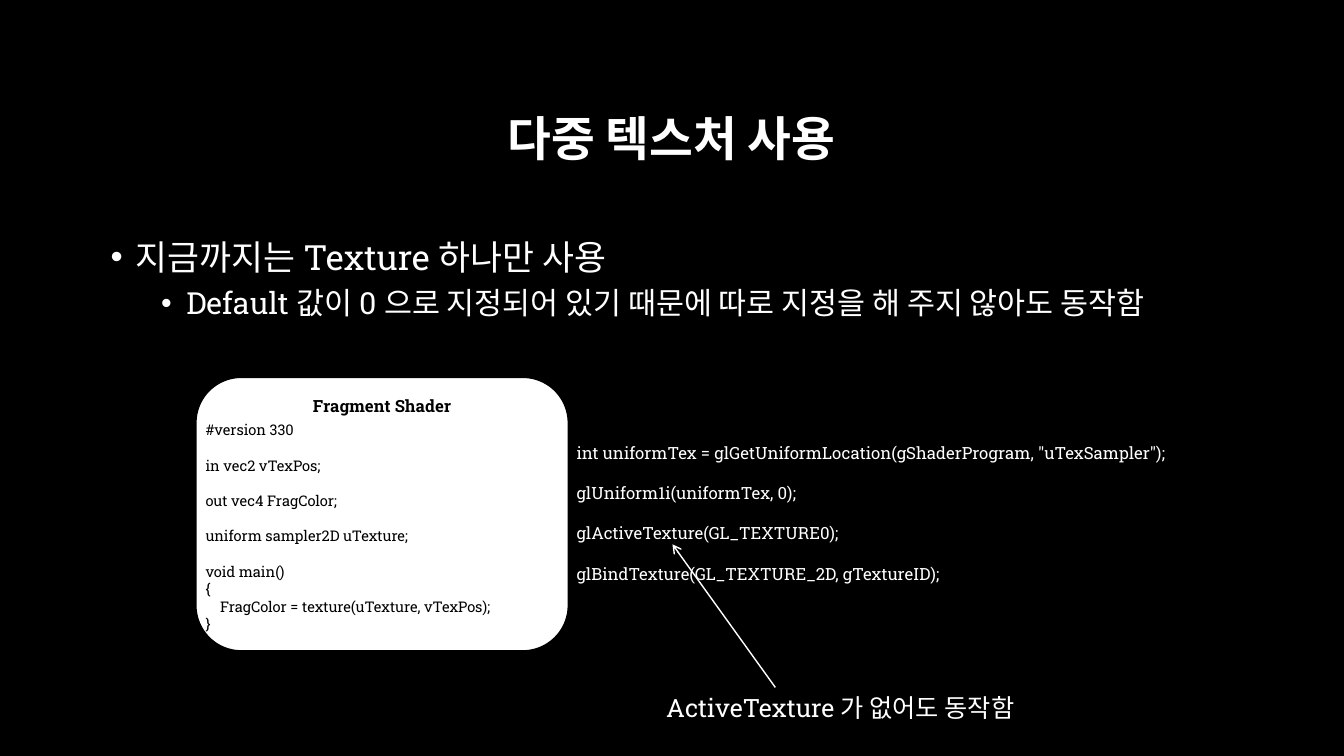
from dataclasses import dataclass

from lxml import etree
from pptx import Presentation
from pptx import util as u
from pptx.dml.color import RGBColor
from pptx.enum import shapes, text
from pptx.oxml.ns import qn


@dataclass(frozen=True)
class Theme:
    """Colours, font and type sizes of the slide."""
    font: str = "Roboto Slab"
    dark: RGBColor = RGBColor(0, 0, 0)
    light: RGBColor = RGBColor(255, 255, 255)
    title: float = 34
    bullet: float = 24.8
    sub_bullet: float = 21.7
    note: float = 18
    code: float = 12
    shader: float = 10.5


THEME = Theme()
LINE_HEIGHT = 1.2

SHADER_BLOCKS = [
    ["#version 330"],
    ["in vec2 vTexPos;"],
    ["out vec4 FragColor;"],
    ["uniform sampler2D uTexture;"],
    ["void main()", "{", "    FragColor = texture(uTexture, vTexPos);", "}"],
]
CALL_BLOCKS = [
    ['int uniformTex = glGetUniformLocation(gShaderProgram, "uTexSampler");'],
    ["glUniform1i(uniformTex, 0);"],
    ["glActiveTexture(GL_TEXTURE0);"],
    ["glBindTexture(GL_TEXTURE_2D, gTextureID);"],
]
BULLETS = [
    (0, "지금까지는 Texture 하나만 사용", THEME.bullet),
    (1, "Default 값이 0 으로 지정되어 있기 때문에 따로 지정을 해 주지 않아도 동작함", THEME.sub_bullet),
]


def inches(*lengths):
    """Convert several lengths to Inches."""
    return [u.Inches(length) for length in lengths]


def style(paragraph, size, color, bold=False):
    """Set the font of a whole paragraph."""
    font = paragraph.font
    font.name, font.size, font.bold = THEME.font, u.Pt(size), bold
    font.color.rgb = color


def add_text_box(slide, box):
    """Add a wrapping text box and return its text frame."""
    frame = slide.shapes.add_textbox(*inches(*box)).text_frame
    frame.word_wrap = True
    return frame


def next_paragraph(frame, index):
    """Return the first paragraph, or add a further one."""
    return frame.add_paragraph() if index else frame.paragraphs[0]


def set_title(slide, box, wording):
    """Place and format the title placeholder."""
    title = slide.shapes.title
    title.left, title.top, title.width, title.height = inches(*box)
    title.text_frame.text = wording
    title.text_frame.vertical_anchor = text.MSO_ANCHOR.MIDDLE
    paragraph = title.text_frame.paragraphs[0]
    paragraph.alignment = text.PP_ALIGN.CENTER
    paragraph.line_spacing = 0.9
    style(paragraph, THEME.title, THEME.light, bold=True)


def add_bullets(slide, box):
    """Add the two-level bullet list."""
    frame = add_text_box(slide, box)
    for index, (level, wording, size) in enumerate(BULLETS):
        paragraph = next_paragraph(frame, index)
        paragraph.text, paragraph.level = wording, level
        properties = paragraph._p.get_or_add_pPr()
        properties.set("marL", str(u.Inches(0.25 + 0.5 * level)))
        properties.set("indent", str(u.Inches(-0.25)))
        etree.SubElement(properties, qn("a:buFont")).set("typeface", "Arial")
        etree.SubElement(properties, qn("a:buChar")).set("char", "•")
        if index:
            paragraph.space_before = u.Pt(5)
        style(paragraph, size, THEME.light)


def add_code(slide, box, blocks, size, color):
    """Add code whose blocks stand one line apart."""
    frame = add_text_box(slide, box)
    lines = [(line, row == 0) for block in blocks for row, line in enumerate(block)]
    for index, (line, starts_block) in enumerate(lines):
        paragraph = next_paragraph(frame, index)
        paragraph.text = line
        if index and starts_block:
            paragraph.space_before = u.Pt(size * LINE_HEIGHT)
        style(paragraph, size, color)


def add_shader_card(slide, box):
    """Add the rounded card with the fragment shader."""
    left, top, width, height = box
    card = slide.shapes.add_shape(shapes.MSO_SHAPE.ROUNDED_RECTANGLE, *inches(*box))
    card.shadow.inherit = False
    card.fill.solid()
    card.fill.fore_color.rgb = THEME.light
    card.line.color.rgb = THEME.dark
    card.line.width = u.Pt(1.5)
    card.text_frame.text = "Fragment Shader"
    card.text_frame.vertical_anchor = text.MSO_ANCHOR.TOP
    paragraph = card.text_frame.paragraphs[0]
    paragraph.alignment = text.PP_ALIGN.CENTER
    style(paragraph, THEME.code, THEME.dark, bold=True)
    add_code(slide, (left, top + 0.39, width, height - 0.5), SHADER_BLOCKS, THEME.shader, THEME.dark)


def add_note(slide, box, target):
    """Add the remark and its arrow to the target point."""
    left, top, width, height = box
    paragraph = add_text_box(slide, box).paragraphs[0]
    paragraph.text = "ActiveTexture 가 없어도 동작함"
    style(paragraph, THEME.note, THEME.light)
    arrow = slide.shapes.add_connector(
        shapes.MSO_CONNECTOR.STRAIGHT, *inches(left + 1.18, top, *target))
    arrow.line.color.rgb = THEME.light
    arrow.line.width = u.Pt(1)
    etree.SubElement(arrow.line._get_or_add_ln(), qn("a:tailEnd")).set("type", "arrow")
    etree.SubElement(arrow._element.spPr, qn("a:effectLst"))


def main():
    """Build the slide and save it."""
    presentation = Presentation()
    presentation.slide_width, presentation.slide_height = inches(13.33, 7.5)
    slide = presentation.slides.add_slide(presentation.slide_layouts[5])
    slide.background.fill.solid()
    slide.background.fill.fore_color.rgb = THEME.dark
    set_title(slide, (1, 0.67, 11.32, 1.45), "다중 텍스처 사용")
    add_bullets(slide, (1, 2.29, 11.3, 1.23))
    add_shader_card(slide, (1.94, 3.74, 3.7, 2.72))
    add_code(slide, (5.62, 4.34, 6.06, 1.51), CALL_BLOCKS, THEME.code, THEME.light)
    add_note(slide, (6.51, 6.82, 4.33, 0.4), target=(6.67, 5.4))
    presentation.save("out.pptx")


if __name__ == "__main__":
    main()
